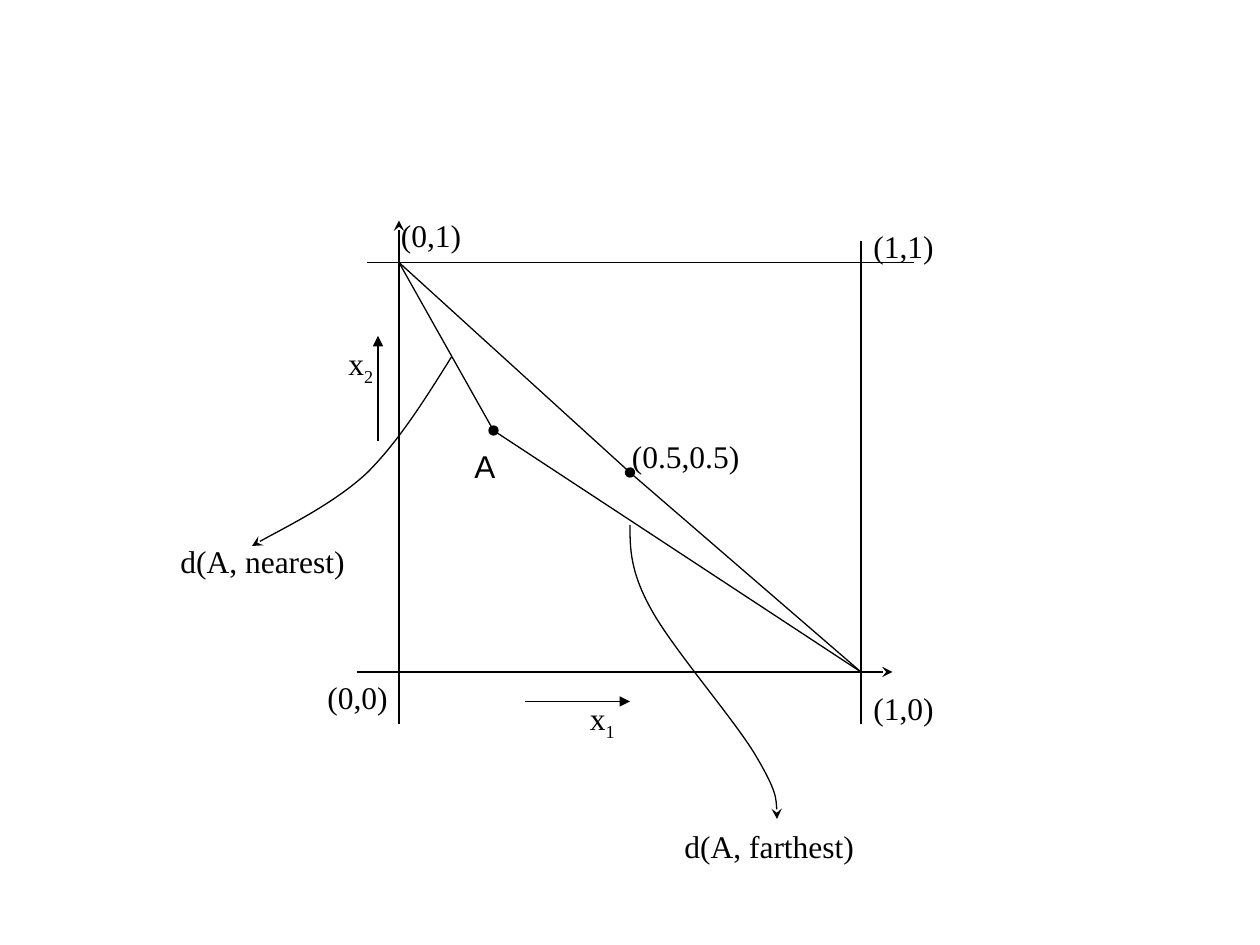
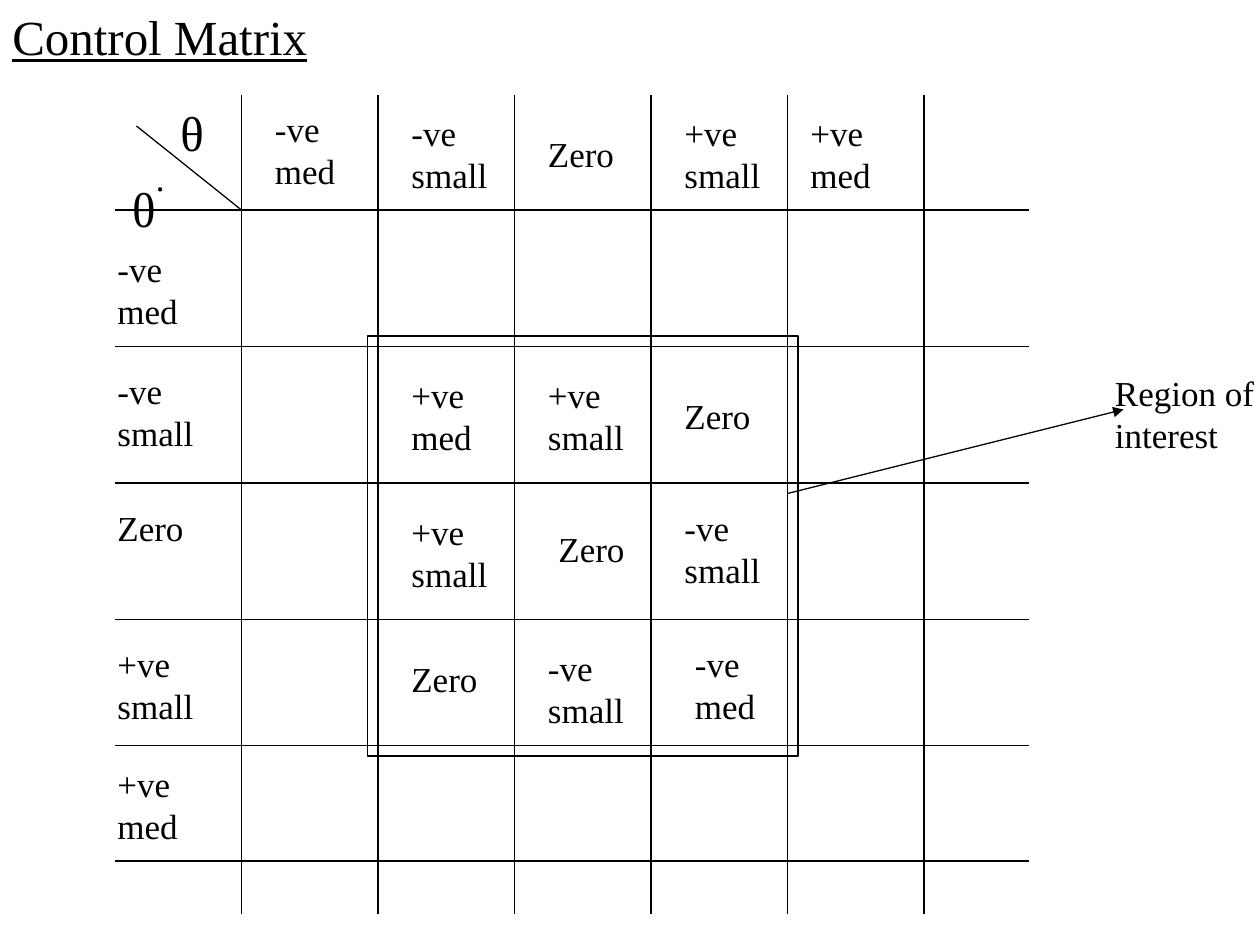
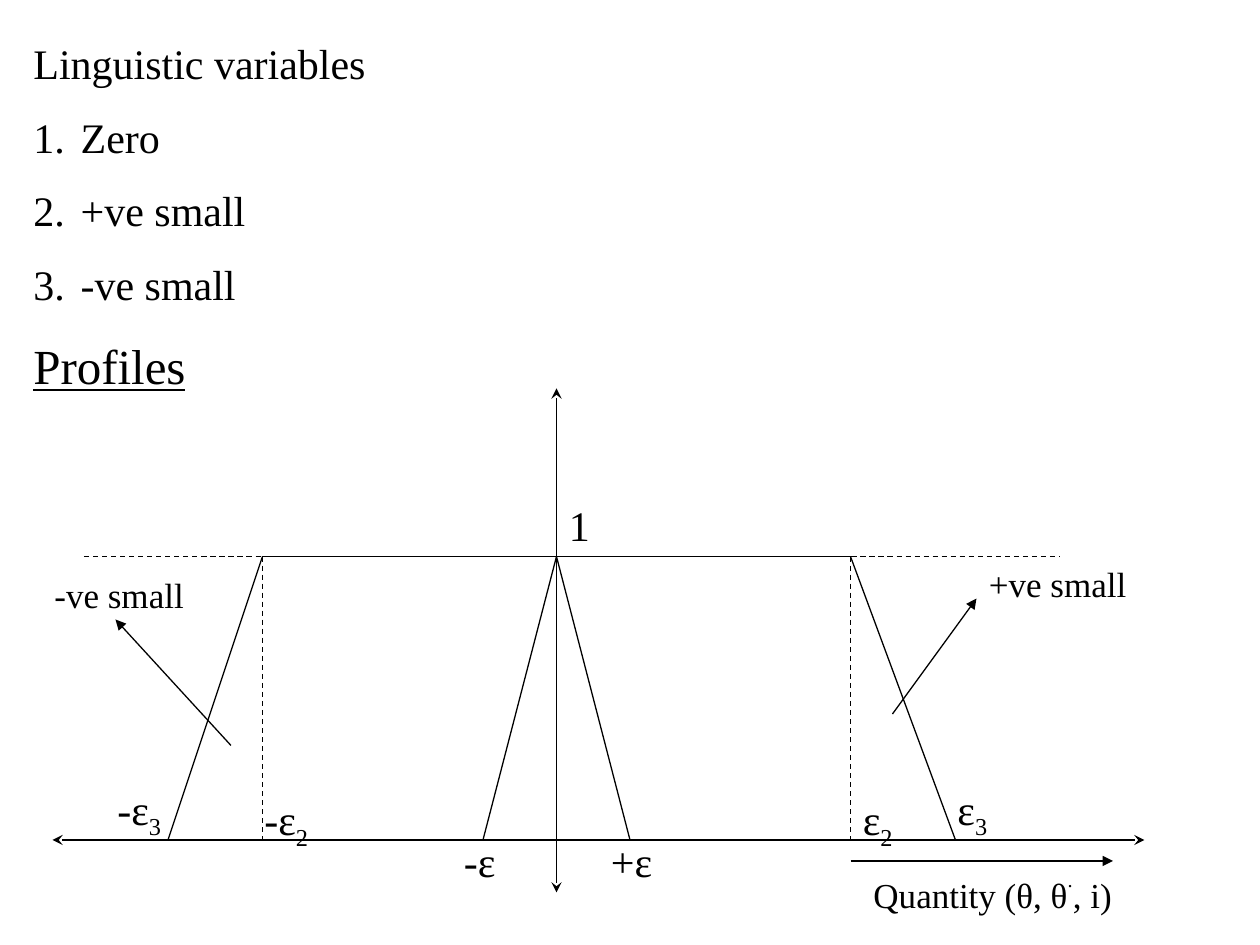
"""Build three slides on distances in the unit square and a fuzzy control matrix."""

from dataclasses import dataclass
from itertools import pairwise

from lxml.etree import SubElement
from pptx import Presentation
from pptx.dml.color import RGBColor
from pptx.enum.dml import MSO_LINE
from pptx.enum.shapes import MSO_CONNECTOR, MSO_SHAPE
from pptx.enum.text import MSO_AUTO_SIZE
from pptx.oxml.ns import qn
from pptx.shapes.base import BaseShape
from pptx.slide import Slide
from pptx.text.text import Font, TextFrame
from pptx.util import Cm, Length, Pt

Point = tuple[float, float]


@dataclass(frozen=True)
class Theme:
    """Colours, fonts and sizes shared by the slides."""

    ink: RGBColor = RGBColor(0, 0, 0)
    serif: str = "Times New Roman"
    sans: str = "Arial"
    line: float = 0.75
    caption: int = 18
    cell: int = 20
    body: int = 24
    heading: int = 28
    dot: int = 36
    subscript: int = -25


THEME = Theme()


@dataclass(frozen=True)
class Script:
    """A raised, lowered or level run that follows the main text of a label."""

    text: str
    baseline: int = THEME.subscript
    size: int | None = None


@dataclass(frozen=True)
class Label:
    """A text box placed on the drawing grid."""

    left: float
    top: float
    width: float
    text: str
    size: int = THEME.caption
    scripts: tuple[Script, ...] = ()
    lines: int = 1
    wrap: bool = True
    underline: bool = False
    font: str = THEME.serif


@dataclass(frozen=True)
class Segment:
    """A straight line on the drawing grid, with optional ends."""

    start: Point
    end: Point
    tail: str = ""
    head: str = ""
    dashed: bool = False


@dataclass(frozen=True)
class Curve:
    """A chain of cubic curves: a start, then three points for each piece."""

    points: tuple[Point, ...]
    tail: str = "stealth"


def grid(steps: float) -> Length:
    """Convert grid steps, twelve to 2.54 cm, to a length."""
    return Cm(steps * 2.54 / 12)


def style_outline(shape: BaseShape, head: str = "", tail: str = "", dashed: bool = False) -> None:
    """Apply the shared outline and any line ends."""
    shape.line.color.rgb = THEME.ink
    shape.line.width = Pt(THEME.line)
    if dashed:
        shape.line.dash_style = MSO_LINE.DASH
    outline = shape.element.spPr.find(qn("a:ln"))
    for tag, ending in (("a:headEnd", head), ("a:tailEnd", tail)):
        if ending:
            SubElement(outline, qn(tag), type=ending)


def draw_segment(slide: Slide, segment: Segment) -> None:
    """Draw a straight connector."""
    connector = slide.shapes.add_connector(
        MSO_CONNECTOR.STRAIGHT, *map(grid, segment.start + segment.end)
    )
    style_outline(connector, segment.head, segment.tail, segment.dashed)
    SubElement(connector.element.spPr, qn("a:effectLst"))


def draw_curve(slide: Slide, curve: Curve) -> None:
    """Draw a freeform and join its points in threes as cubic curves."""
    start, *controls = [(grid(x), grid(y)) for x, y in curve.points]
    builder = slide.shapes.build_freeform(*start)
    builder.add_line_segments(controls, close=False)
    shape = builder.convert_to_shape()
    shape.fill.background()
    shape.shadow.inherit = False
    style_outline(shape, tail=curve.tail)
    outline_path = shape.element.spPr.find(".//" + qn("a:path"))
    straights = outline_path.findall(qn("a:lnTo"))
    for first in range(0, len(straights), 3):
        bezier = SubElement(outline_path, qn("a:cubicBezTo"))
        for straight in straights[first:first + 3]:
            bezier.append(straight[0])
            outline_path.remove(straight)


def style_font(font: Font, size: int, name: str = THEME.serif, underline: bool = False) -> None:
    """Apply the shared text style."""
    font.name = name
    font.size = Pt(size)
    font.color.rgb = THEME.ink
    if underline:
        font.underline = True


def add_frame(slide: Slide, left: float, top: float, width: float, height: float, wrap: bool = True) -> TextFrame:
    """Add a text box that grows with its text."""
    frame = slide.shapes.add_textbox(*map(grid, (left, top, width, height))).text_frame
    frame.word_wrap = wrap
    frame.auto_size = MSO_AUTO_SIZE.SHAPE_TO_FIT_TEXT
    return frame


def draw_label(slide: Slide, label: Label) -> None:
    """Draw a label with its scripts."""
    height = 1.2 + 0.2 * label.size * label.lines
    frame = add_frame(slide, label.left, label.top, label.width, height, label.wrap)
    frame.text = label.text
    paragraph = frame.paragraphs[0]
    style_font(paragraph.runs[0].font, label.size, label.font, label.underline)
    for script in label.scripts:
        run = paragraph.add_run()
        run.text = script.text
        style_font(run.font, script.size or label.size, label.font)
        run.font.element.set("baseline", str(script.baseline * 1000)) if hasattr(
            run.font, "element"
        ) else run._r.get_or_add_rPr().set("baseline", str(script.baseline * 1000))


def draw_all(slide: Slide, segments: list[Segment], labels: list[Label]) -> None:
    """Draw lines first and labels above them."""
    for segment in segments:
        draw_segment(slide, segment)
    for label in labels:
        draw_label(slide, label)


def build_distances(slide: Slide) -> None:
    """Show a point in the unit square with its nearest and farthest corners."""
    left, right, top, bottom = 38, 82, 25, 64
    nearest, farthest = (left, top), (right, bottom)
    centre, point_a = (60, 45), (47, 41)
    segments = [
        Segment((left, 21), (left, 69), head="stealth"),
        Segment((34, bottom), (85, bottom), tail="stealth"),
        Segment((35, top), (87, top)),
        Segment((right, 23), (right, 69)),
        Segment((50, 66.8), (60, 66.8), tail="triangle"),
        Segment((36, 42), (36, 32), tail="triangle"),
        Segment(nearest, centre, tail="oval"),
        Segment(nearest, point_a, tail="oval"),
        Segment(point_a, farthest),
        Segment(centre, farthest),
    ]
    labels = [
        Label(82, 65, 10, "(1,0)"),
        Label(30, 64, 10, "(0,0)"),
        Label(37, 20, 10, "(0,1)"),
        Label(82, 21, 10, "(1,1)"),
        Label(55, 66, 10, "x", scripts=(Script("1"),)),
        Label(32, 32.2, 6, "x", scripts=(Script("2"),)),
        Label(16, 51, 22, "d(A, nearest)"),
        Label(64, 78.2, 22, "d(A, farthest)"),
        Label(59, 41, 13, "(0.5,0.5)"),
        Label(44, 42, 4.4, "A", wrap=False, font=THEME.sans),
    ]
    draw_all(slide, segments, labels)
    to_nearest = ((43, 34), (40.5, 38), (38, 42), (35, 45), (31.8, 48), (25.8, 50.9), (24, 52))
    to_farthest = (
        (60, 50), (60, 52.2), (60, 54.4), (62, 58), (64, 61.7),
        (70, 68.6), (72, 72), (74, 75.4), (74, 76.7), (74, 78),
    )
    for points in (to_nearest, to_farthest):
        draw_curve(slide, Curve(points))


def build_control_matrix(slide: Slide) -> None:
    """Show the control matrix and its region of interest."""
    columns = range(23, 89, 13)
    rows = (20, 33, 46, 59, 71, 82)
    segments = [Segment((x, 9), (x, 87)) for x in columns]
    segments += [Segment((11, y), (98, y)) for y in rows]
    segments += [
        Segment((columns[0], rows[0]), (13, 12)),
        Segment((75, 47), (107, 39), tail="triangle"),
    ]
    entries = (
        (10, 23, "-ve med"), (10, 34.6, "-ve small"), (10, 47.6, "Zero"),
        (10, 60.6, "+ve small"), (10, 72, "+ve med"),
        (25, 9.6, "-ve med"), (38, 10, "-ve small"), (51, 12, "Zero"),
        (64, 10, "+ve small"), (76, 10, "+ve med"),
        (38, 35, "+ve med"), (51, 35, "+ve small"), (64, 37, "Zero"),
        (38, 48, "+ve small"), (52, 49.6, "Zero"), (64, 47.6, "-ve small"),
        (38, 62, "Zero"), (51, 61, "-ve small"), (65, 60.6, "-ve med"),
    )
    labels = [
        Label(x, y, 10, text, THEME.cell, lines=len(text.split())) for x, y, text in entries
    ]
    labels += [
        Label(105, 34.8, 20, "Region of interest", THEME.cell, lines=2),
        Label(0, 0, 47, "Control Matrix", THEME.heading, underline=True),
        Label(11.4, 14.2, 5.6, "θ", THEME.heading, (Script(".", 56, THEME.dot),)),
        Label(16, 9.2, 4.7, "θ", THEME.heading, wrap=False),
    ]
    draw_all(slide, segments, labels)
    region = slide.shapes.add_shape(MSO_SHAPE.RECTANGLE, *map(grid, (35, 32, 41, 40)))
    region.fill.background()
    region.shadow.inherit = False
    style_outline(region)


def draw_variable_list(slide: Slide) -> None:
    """List the linguistic variables above the profiles heading."""
    names = ("Zero", "+ve small", "-ve small")
    heading = "Profiles"
    frame = add_frame(slide, 2, 3, 117, 36)
    frame.text = "\n".join(("Linguistic variables", *names, heading))
    for paragraph in frame.paragraphs:
        is_heading = paragraph.text == heading
        size = THEME.heading if is_heading else THEME.body
        paragraph.space_before = Pt(0.55 * size)
        style_font(paragraph.runs[0].font, size, underline=is_heading)
        properties = paragraph._p.get_or_add_pPr()
        properties.set("marL", str(grid(4.5)))
        properties.set("indent", str(-grid(4.5)))
        if paragraph.text in names:
            SubElement(properties, qn("a:buAutoNum"), type="arabicPeriod")


def build_profiles(slide: Slide) -> None:
    """Show the linguistic variables and their membership profiles."""
    axis, full, base = 53, 53, 80
    shoulders = (25, 81)
    outer = ((16, base), (shoulders[0], full), (shoulders[1], full), (91, base))
    zero = ((46, base), (axis, full), (60, base))
    segments = [
        Segment((5, base), (109, base), "stealth", "stealth"),
        Segment((axis, 37), (axis, 85), "stealth", "stealth"),
        Segment((8, full), (101, full), dashed=True),
        Segment((85, 68), (93, 57), tail="triangle"),
        Segment((22, 71), (11, 59), tail="triangle"),
        Segment((81, 82), (106, 82), tail="triangle"),
    ]
    segments += [Segment(*ends) for profile in (outer, zero) for ends in pairwise(profile)]
    segments += [Segment((x, full), (x, base), dashed=True) for x in shoulders]
    marks = (
        (43, 79, "-ε", ""), (57, 79, "+ε", ""), (80, 75, " ε", "2"), (24, 75, "-ε", "2"),
        (10, 74, "-ε", "3"), (90, 74, "ε", "3"), (53, 47, "1", ""),
    )
    labels = [
        Label(x, y, 7, text, THEME.body, (Script(index),) if index else ())
        for x, y, text, index in marks
    ]
    labels += [
        Label(93, 53, 19, "+ve small", THEME.cell),
        Label(4, 54, 19, "-ve small", THEME.cell),
        Label(82, 82, 32, "Quantity (θ, θ", THEME.cell, (Script(".", 60), Script(", i)", 0))),
    ]
    draw_variable_list(slide)
    draw_all(slide, segments, labels)


def main() -> None:
    """Build and save the presentation."""
    presentation = Presentation()
    presentation.slide_width = Cm(25.4)
    presentation.slide_height = Cm(19.05)
    blank = presentation.slide_layouts[6]
    for build in (build_distances, build_control_matrix, build_profiles):
        build(presentation.slides.add_slide(blank))
    presentation.save("out.pptx")


if __name__ == "__main__":
    main()
